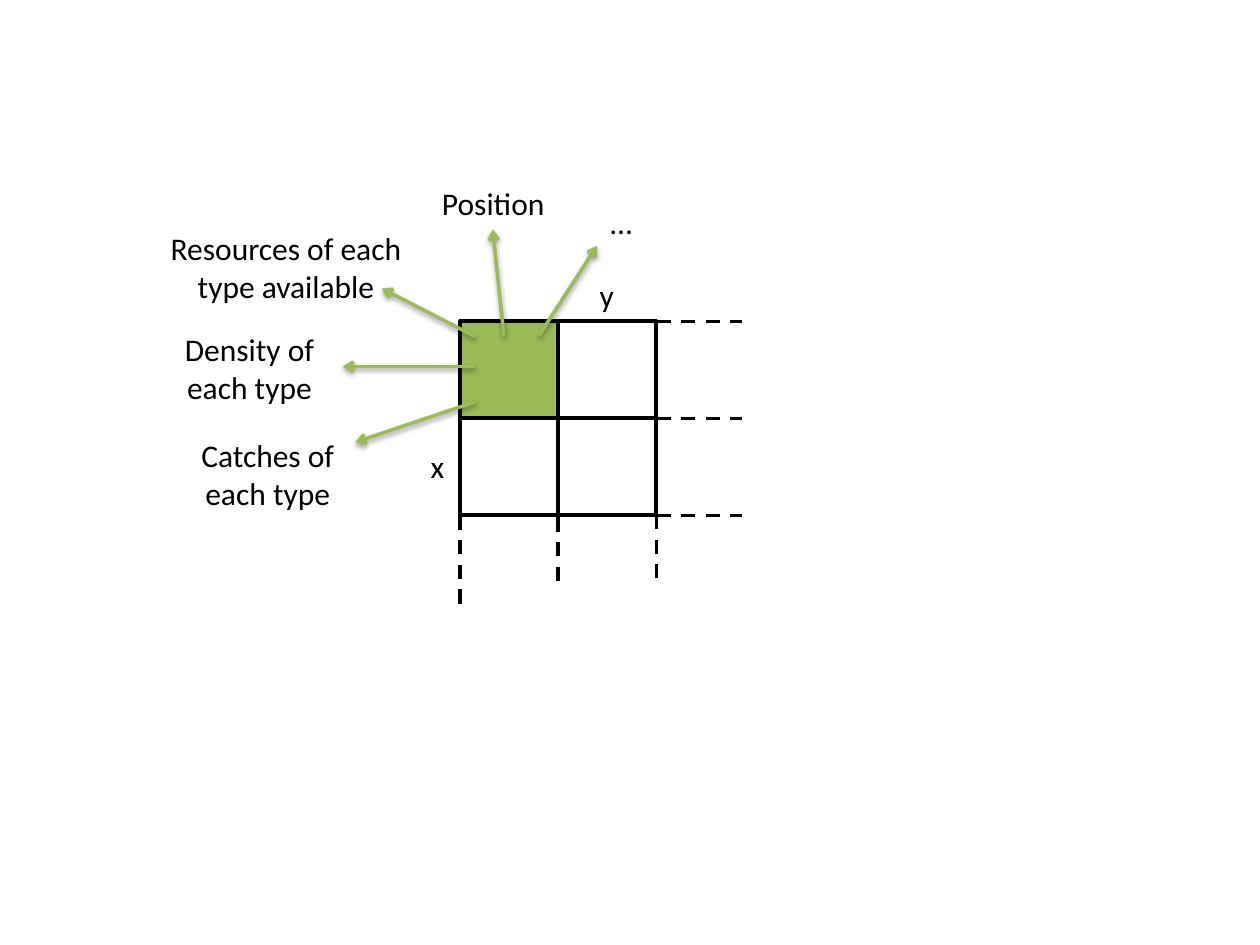
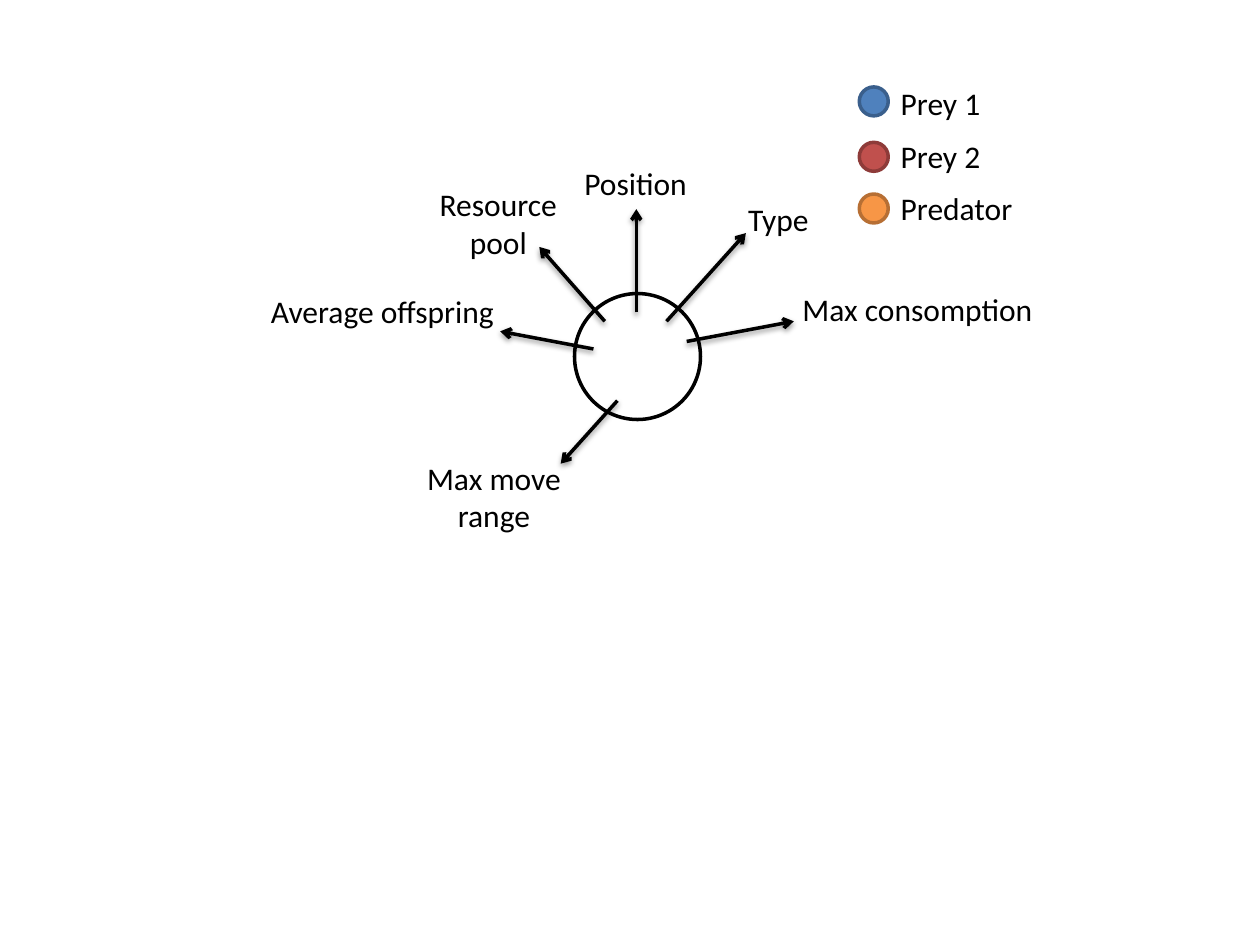
from dataclasses import dataclass
from typing import Optional

from lxml import etree
from pptx import Presentation
from pptx.dml.color import RGBColor
from pptx.enum.dml import MSO_LINE
from pptx.enum.shapes import MSO_CONNECTOR, MSO_SHAPE
from pptx.enum.text import MSO_AUTO_SIZE, PP_ALIGN
from pptx.oxml import parse_xml
from pptx.oxml.ns import nsdecls, qn
from pptx.slide import Slide
from pptx.util import Emu, Pt

EMU_PER_PX = 9144  # 100 px to the inch
SLIDE_WIDTH, SLIDE_HEIGHT = 1000, 750
BLANK_LAYOUT = 6

LEFT, CENTER = PP_ALIGN.LEFT, PP_ALIGN.CENTER
DASH = MSO_LINE.DASH
STRAIGHT = MSO_CONNECTOR.STRAIGHT
RECTANGLE, ELLIPSE = MSO_SHAPE.RECTANGLE, MSO_SHAPE.OVAL

BLACK, WHITE, GREEN = "000000", "FFFFFF", "9BBB59"
LINE_WIDTH, CELL_LINE_WIDTH = 2, 2.25
LABEL_FONT = {"name": "Calibri", "size": Pt(18)}
ONE_LINE, TWO_LINES = 40, 71

ARROW_SHADOW = (
    f'<a:effectLst {nsdecls("a")}>'
    '<a:outerShdw blurRad="39370" dist="20320" dir="5400000" rotWithShape="0">'
    '<a:srgbClr val="000000"><a:alpha val="38000"/></a:srgbClr>'
    "</a:outerShdw></a:effectLst>"
)


@dataclass(frozen=True)
class Label:
    text: str
    left: int
    top: int
    width: int
    height: int = ONE_LINE
    align: PP_ALIGN = CENTER
    wrap: bool = False


@dataclass(frozen=True)
class Segment:
    x1: int
    y1: int
    x2: int
    y2: int


@dataclass(frozen=True)
class Species:
    name: str
    dot_top: int
    label_top: int
    label_width: int
    fill: str
    outline: str


# Grid of the environment slide
GRID_LEFT, GRID_TOP = 365, 255
CELL_WIDTH, CELL_HEIGHT = 78, 77
CELLS_PER_SIDE = 2
GRID_RIGHT = GRID_LEFT + CELLS_PER_SIDE * CELL_WIDTH
ROW_EXTENSION = 68
COLUMN_EXTENSIONS = [(479, 402), (461, 400), (459, 398)]  # bottom, top

CELL_ARROWS = [
    Segment(377, 291, 272, 291),
    Segment(377, 267, 303, 229),
    Segment(377, 319, 282, 351),
    Segment(400, 267, 391, 182),
    Segment(428, 266, 474, 195),
]
CELL_LABELS = [
    Label("x", 332, 350, 31, align=LEFT),
    Label("y", 466, 214, 32, align=LEFT),
    Label("Position", 340, 141, 103),
    Label("Resources of each\ntype available", 124, 177, 206, TWO_LINES),
    Label("Density of each type", 124, 257, 148, TWO_LINES, wrap=True),
    Label("Catches of each type", 142, 341, 141, TWO_LINES, wrap=True),
    Label("…", 474, 156, 38),
]

# Agent slide
AGENT_LEFT, AGENT_TOP, AGENT_SIZE = 456, 233, 100
DOT_LEFT, DOT_SIZE, SPECIES_LABEL_LEFT = 682, 23, 705
AGENT_ARROWS = [
    Segment(529, 255, 592, 185),
    Segment(545, 271, 630, 255),
    Segment(505, 248, 505, 166),
    Segment(480, 255, 428, 196),
    Segment(471, 277, 397, 263),
    Segment(490, 318, 445, 368),
]
AGENT_LABELS = [
    Label("Type", 584, 154, 70, align=LEFT),
    Label("Max consomption", 627, 225, 205, align=LEFT),
    Label("Position", 453, 125, 103),
    Label("Resource\npool", 338, 142, 115, TWO_LINES),
    Label("Average offspring", 203, 227, 201),
    Label("Max move\nrange", 328, 359, 128, TWO_LINES),
]
SPECIES = [
    Species("Prey 1", 69, 62, 85, "4F81BD", "3A5F8C"),
    Species("Prey 2", 113, 104, 85, "C0504D", "8E3B39"),
    Species("Predator", 154, 145, 111, "F79646", "B76F34"),
]


def px(length: int) -> Emu:
    return Emu(length * EMU_PER_PX)


def rgb(value: str) -> RGBColor:
    return RGBColor.from_string(value)


def set_all(target, values: dict) -> None:
    for attribute, value in values.items():
        setattr(target, attribute, value)


def add_label(slide: Slide, label: Label) -> None:
    box = slide.shapes.add_textbox(
        px(label.left), px(label.top), px(label.width), px(label.height)
    )
    frame = box.text_frame
    frame.text = label.text
    set_all(frame, {"word_wrap": label.wrap,
                    "auto_size": MSO_AUTO_SIZE.SHAPE_TO_FIT_TEXT})
    for paragraph in frame.paragraphs:
        paragraph.alignment = label.align
        for run in paragraph.runs:
            set_all(run.font, LABEL_FONT)
            run.font.color.rgb = rgb(BLACK)


def add_outlined(slide: Slide, kind: MSO_SHAPE, left: int, top: int, width: int,
                 height: int, fill: Optional[str], outline: str = BLACK,
                 line_width: float = LINE_WIDTH) -> None:
    """Add a preset shape; without a fill it stays transparent."""
    shape = slide.shapes.add_shape(kind, px(left), px(top), px(width), px(height))
    shape.shadow.inherit = False
    if fill:
        shape.fill.solid()
        shape.fill.fore_color.rgb = rgb(fill)
    else:
        shape.fill.background()
    shape.line.color.rgb = rgb(outline)
    shape.line.width = Pt(line_width)


def add_line(slide: Slide, segment: Segment, color: str = BLACK):
    line = slide.shapes.add_connector(
        STRAIGHT, px(segment.x1), px(segment.y1), px(segment.x2), px(segment.y2)
    )
    line.line.color.rgb = rgb(color)
    line.line.width = Pt(LINE_WIDTH)
    return line


def add_dashed(slide: Slide, segment: Segment) -> None:
    dashed = add_line(slide, segment)
    dashed.line.dash_style = DASH
    etree.SubElement(dashed._element.spPr, qn("a:effectLst"))


def add_arrow(slide: Slide, segment: Segment, color: str) -> None:
    arrow = add_line(slide, segment, color)
    etree.SubElement(arrow.line._get_or_add_ln(), qn("a:tailEnd"), type="arrow")
    arrow._element.spPr.append(parse_xml(ARROW_SHADOW))


def add_callouts(slide: Slide, arrows: list[Segment], labels: list[Label],
                 color: str) -> None:
    for arrow in arrows:
        add_arrow(slide, arrow, color)
    for label in labels:
        add_label(slide, label)


def build_environment(slide: Slide) -> None:
    for row in range(CELLS_PER_SIDE):
        for column in range(CELLS_PER_SIDE):
            add_outlined(
                slide, RECTANGLE,
                GRID_LEFT + column * CELL_WIDTH, GRID_TOP + row * CELL_HEIGHT,
                CELL_WIDTH, CELL_HEIGHT,
                fill=GREEN if row == column == 0 else None,
                line_width=CELL_LINE_WIDTH,
            )
    for row in range(CELLS_PER_SIDE + 1):
        y = GRID_TOP + row * CELL_HEIGHT
        add_dashed(slide, Segment(GRID_RIGHT, y, GRID_RIGHT + ROW_EXTENSION, y))
    for column, (bottom, top) in enumerate(COLUMN_EXTENSIONS):
        x = GRID_LEFT + column * CELL_WIDTH
        add_dashed(slide, Segment(x, bottom, x, top))
    add_callouts(slide, CELL_ARROWS, CELL_LABELS, GREEN)


def build_agent(slide: Slide) -> None:
    add_outlined(slide, ELLIPSE, AGENT_LEFT, AGENT_TOP, AGENT_SIZE, AGENT_SIZE, WHITE)
    for species in SPECIES:
        add_outlined(slide, ELLIPSE, DOT_LEFT, species.dot_top, DOT_SIZE, DOT_SIZE,
                     species.fill, species.outline)
        add_label(slide, Label(species.name, SPECIES_LABEL_LEFT, species.label_top,
                               species.label_width, align=LEFT))
    add_callouts(slide, AGENT_ARROWS, AGENT_LABELS, BLACK)


def main() -> None:
    deck = Presentation()
    set_all(deck, {"slide_width": px(SLIDE_WIDTH), "slide_height": px(SLIDE_HEIGHT)})
    for build in (build_environment, build_agent):
        build(deck.slides.add_slide(deck.slide_layouts[BLANK_LAYOUT]))
    deck.save("out.pptx")


if __name__ == "__main__":
    main()
